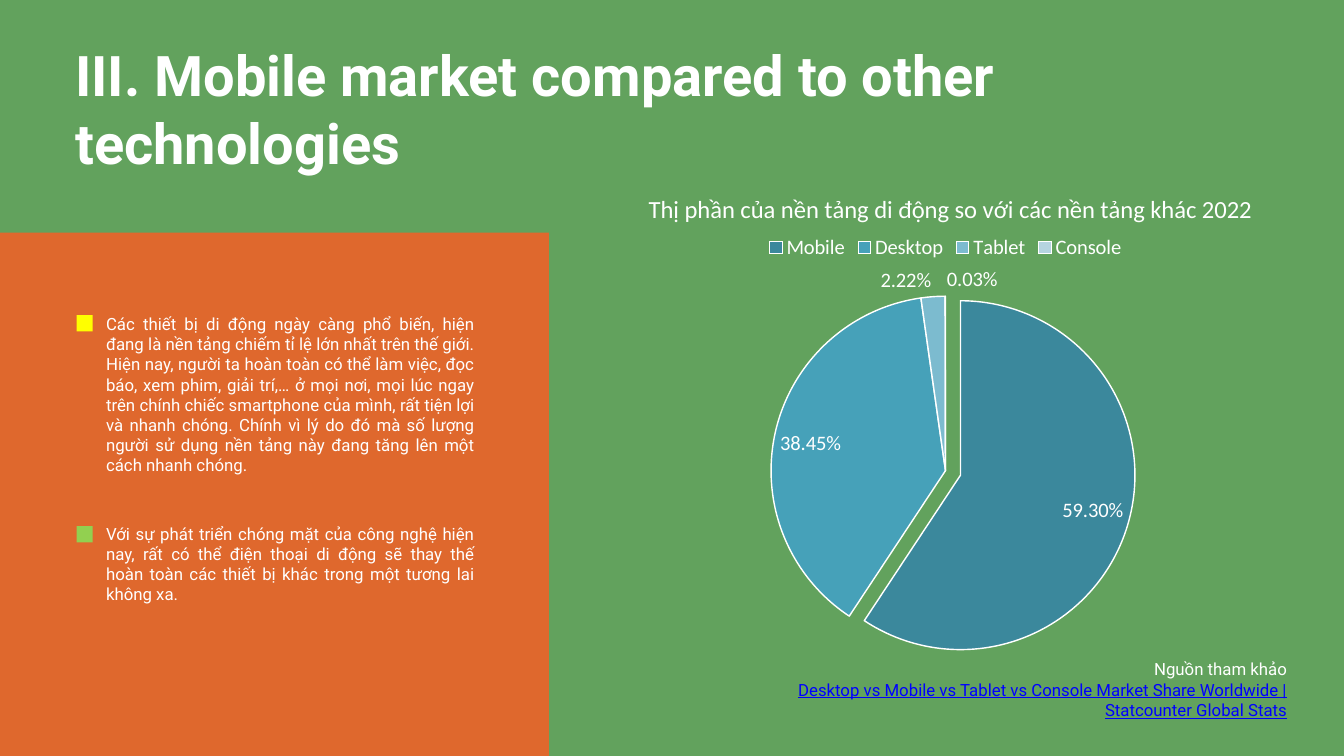
from lxml.etree import SubElement, Element
from pptx import Presentation
from pptx.chart.data import CategoryChartData
from pptx.dml.color import RGBColor
from pptx.enum.chart import XL_CHART_TYPE, XL_LABEL_POSITION, XL_LEGEND_POSITION
from pptx.enum.shapes import MSO_SHAPE
from pptx.enum.text import MSO_ANCHOR, MSO_AUTO_SIZE, PP_ALIGN
from pptx.oxml.ns import qn
from pptx.util import Inches, Pt

COLORS = {
    "green": "62A25D", "orange": "DF682D", "white": "FFFFFF", "link": "0000FF",
    "yellow": "FFFF00", "lime": "92D050",
    "Mobile": "3B889C", "Desktop": "46A1B9", "Tablet": "7CBBCF", "Console": "B5D4E0",
}


def style_font(font, name, size, color="white"):
    font.name = name
    font.size = Pt(size)
    font.color.rgb = RGBColor.from_string(COLORS[color])


def set_layout(parent, index, **places):
    for old in parent.findall(qn("c:layout")):
        parent.remove(old)
    layout = Element(qn("c:layout"))
    manual = SubElement(layout, qn("c:manualLayout"))
    if "w" in places:
        SubElement(manual, qn("c:layoutTarget")).set("val", "inner")
    for axis in ("x", "y"):
        SubElement(manual, qn(f"c:{axis}Mode")).set("val", "edge")
    for key, value in places.items():
        SubElement(manual, qn(f"c:{key}")).set("val", str(value))
    parent.insert(index, layout)


deck = Presentation()
deck.slide_width = Inches(20)
deck.slide_height = Inches(11.25)
page = deck.slides.add_slide(deck.slide_layouts[5])
page.background.fill.solid()
page.background.fill.fore_color.rgb = RGBColor.from_string(COLORS["green"])

rectangles = [
    (0, 3.46, 8.17, 7.79, "orange"),
    (1.14, 4.69, 0.24, 0.24, "yellow"),
    (1.14, 7.83, 0.24, 0.24, "lime"),
]
for left, top, width, height, color in rectangles:
    rectangle = page.shapes.add_shape(
        MSO_SHAPE.RECTANGLE, Inches(left), Inches(top), Inches(width), Inches(height))
    rectangle.shadow.inherit = False
    rectangle.fill.solid()
    rectangle.fill.fore_color.rgb = RGBColor.from_string(COLORS[color])
    rectangle.line.fill.background()

title = page.shapes.title
title.left, title.top = Inches(1.12), Inches(0.61)
title.width, title.height = Inches(16.79), Inches(2.02)
frame = title.text_frame
frame.text = "III. Mobile market compared to other technologies"
frame.margin_left = frame.margin_right = frame.margin_top = frame.margin_bottom = 0
frame.vertical_anchor = MSO_ANCHOR.TOP
frame.auto_size = MSO_AUTO_SIZE.NONE
frame.word_wrap = True
para = frame.paragraphs[0]
para.alignment = PP_ALIGN.LEFT
style_font(para.runs[0].font, "Roboto", 60)
para.runs[0].font.bold = True

market_data = CategoryChartData(number_format="0.00%")
market_data.categories = ["Mobile", "Desktop", "Tablet", "Console"]
market_data.add_series("Series 1", [0.593, 0.3845, 0.0222, 0.0003])
chart = page.shapes.add_chart(
    XL_CHART_TYPE.PIE, Inches(8.17), Inches(2.51), Inches(11.8), Inches(7.25),
    market_data).chart
style_font(chart.font, "Calibri", 22)

chart.has_title = True
chart_title = chart.chart_title
chart_title.text_frame.text = "Thị phần của nền tảng di động so với các nền tảng khác 2022"
chart_run = chart_title.text_frame.paragraphs[0].runs[0]
style_font(chart_run.font, "Calibri", 26.4)
chart_run.font.bold = False
set_layout(chart_title._element, 1, x=0.12, y=0.04)

chart.has_legend = True
chart.legend.position = XL_LEGEND_POSITION.TOP
chart.legend.include_in_layout = False
style_font(chart.legend.font, "Calibri", 22)

plot = chart.plots[0]
plot.vary_by_categories = True
set_layout(plot._element.getparent(), 0, x=0.28, y=0.26, w=0.44, h=0.72)
plot.has_data_labels = True
labels = plot.data_labels
labels.show_value = True
labels.show_percentage = False
labels.number_format = "0.00%"
labels.number_format_is_linked = False
labels.position = XL_LABEL_POSITION.BEST_FIT
style_font(labels.font, "Calibri", 22)

series = plot.series[0]
for index, category in enumerate(plot.categories):
    slice_format = series.points[index].format
    slice_format.fill.solid()
    slice_format.fill.fore_color.rgb = RGBColor.from_string(COLORS[category])
    slice_format.line.color.rgb = RGBColor.from_string(COLORS["white"])
    slice_format.line.width = Pt(1.5)
explosion = Element(qn("c:explosion"))
explosion.set("val", "9")
series._element.find(qn("c:dPt")).insert(1, explosion)

texts = [
    (1.48, 4.62, 5.68, 2.83, PP_ALIGN.JUSTIFY,
     "Các thiết bị di động ngày càng phổ biến, hiện đang là nền tảng chiếm tỉ lệ lớn nhất "
     "trên thế giới. Hiện nay, người ta hoàn toàn có thể làm việc, đọc báo, xem phim, giải "
     "trí,… ở mọi nơi, mọi lúc ngay trên chính chiếc smartphone của mình, rất tiện lợi và "
     "nhanh chóng. Chính vì lý do đó mà số lượng người sử dụng nền tảng này đang tăng lên "
     "một cách nhanh chóng."),
    (1.48, 7.74, 5.68, 1.31, PP_ALIGN.JUSTIFY,
     "Với sự phát triển chóng mặt của công nghệ hiện nay, rất có thể điện thoại di động sẽ "
     "thay thế hoàn toàn các thiết bị khác trong một tương lai không xa."),
    (10.5, 9.76, 8.75, 1.01, PP_ALIGN.RIGHT,
     "Nguồn tham khảo\vDesktop vs Mobile vs Tablet vs Console Market Share Worldwide | "
     "Statcounter Global Stats"),
]
for left, top, width, height, alignment, text in texts:
    box = page.shapes.add_textbox(Inches(left), Inches(top), Inches(width), Inches(height))
    box.text_frame.word_wrap = True
    box.text_frame.auto_size = MSO_AUTO_SIZE.SHAPE_TO_FIT_TEXT
    para = box.text_frame.paragraphs[0]
    para.text = text
    para.alignment = alignment
    for span in para.runs:
        style_font(span.font, "Roboto", 18)

source_link = para.runs[1]
source_link.font.color.rgb = RGBColor.from_string(COLORS["link"])
source_link.font.underline = True

deck.save("out.pptx")
